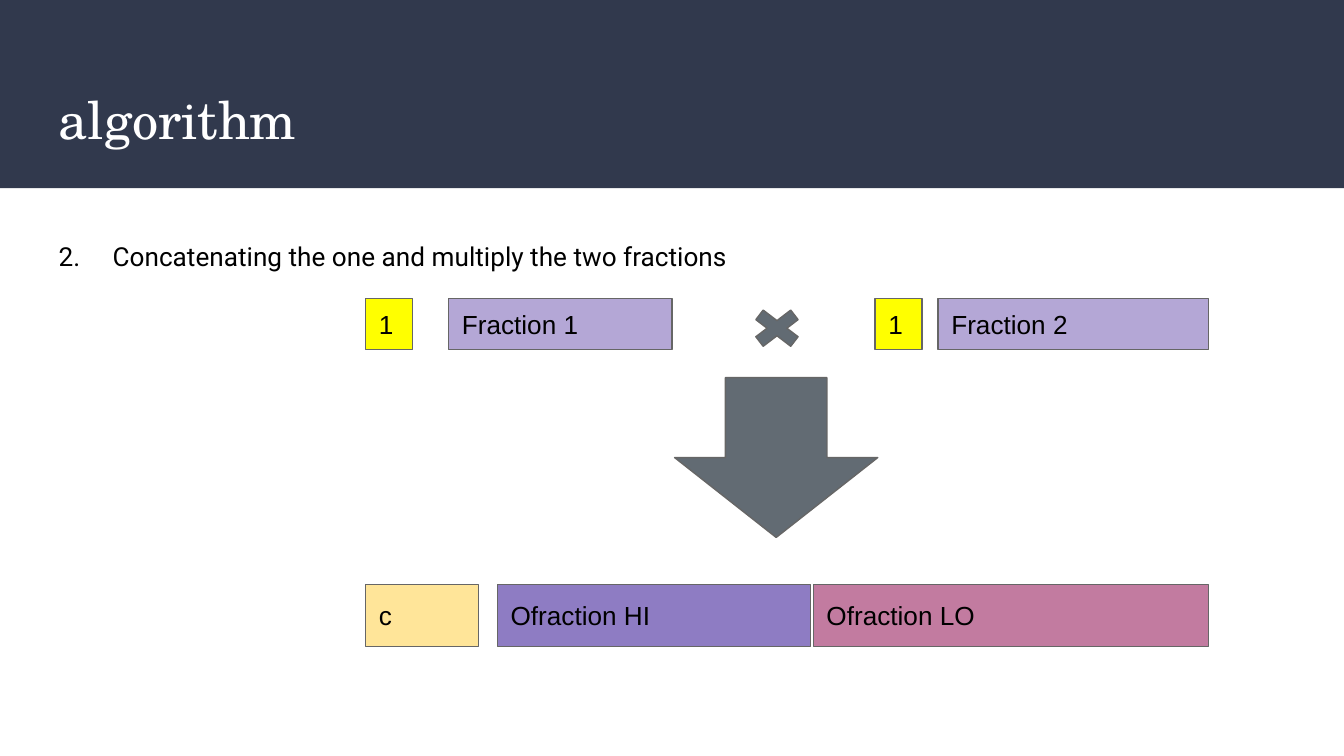
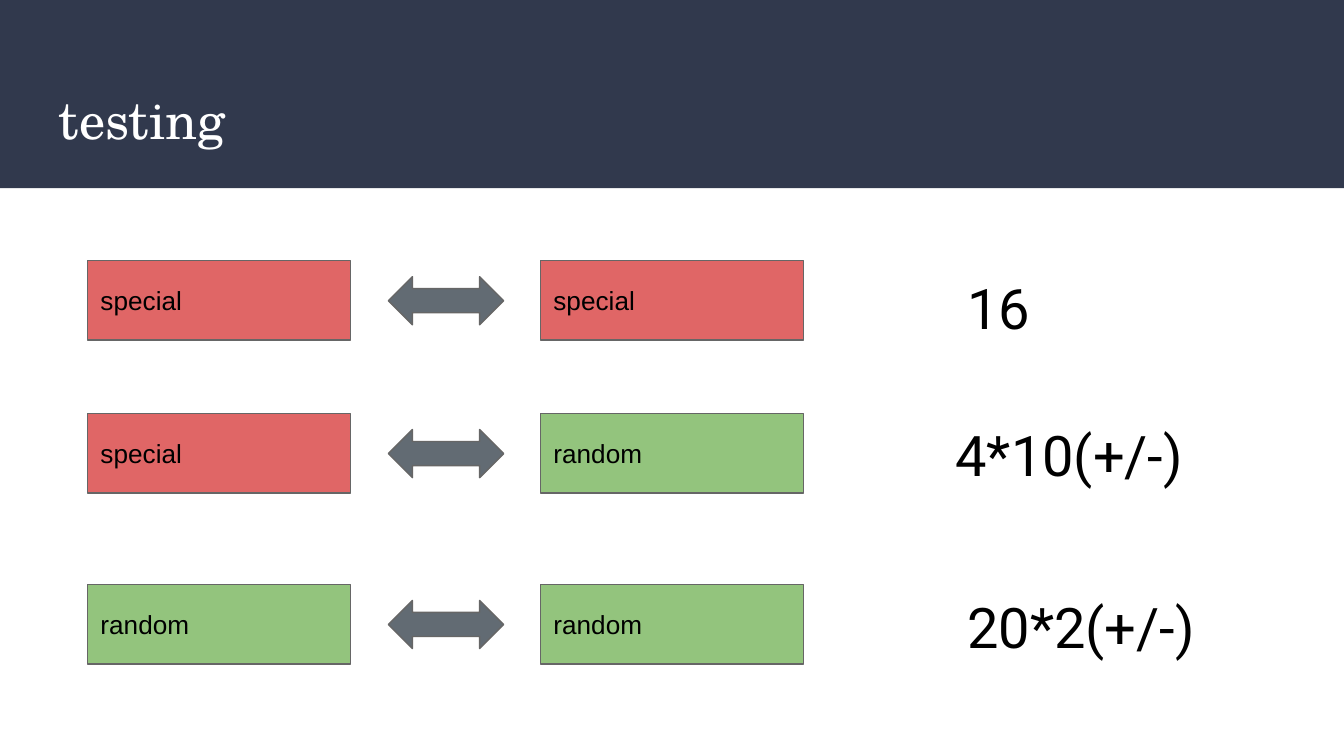
from pptx import Presentation
from pptx import util as u
from pptx.dml.color import RGBColor
from pptx.enum import shapes, text
from lxml import etree

hues = {
    "navy": "31394D", "white": "FFFFFF", "black": "000000",
    "edge": "666666", "slate": "626B73", "lilac": "B4A7D6",
    "yellow": "FFFF00", "violet": "8E7CC3", "rose": "C27BA0",
    "cream": "FFE599", "red": "E06666", "green": "93C47D",
}
kinds = shapes.MSO_SHAPE


def write(shape, words, size, font, hue="black", anchor=text.MSO_ANCHOR.TOP):
    frame = shape.text_frame
    frame.word_wrap = True
    frame.auto_size = text.MSO_AUTO_SIZE.NONE
    frame.vertical_anchor = anchor
    frame.margin_left = frame.margin_right = u.Cm(0.25)
    frame.margin_top = frame.margin_bottom = u.Cm(0.25)
    para = frame.paragraphs[0]
    para.alignment = text.PP_ALIGN.LEFT
    run = para.add_run()
    run.text = words
    run.font.size = u.Pt(size)
    run.font.name = font
    run.font.color.rgb = RGBColor.from_string(hues[hue])
    return para


def draw(slide, kind, box, fill, words=None):
    shape = slide.shapes.add_shape(kind, *map(u.Cm, box))
    shape.shadow.inherit = False
    shape.fill.solid()
    shape.fill.fore_color.rgb = RGBColor.from_string(hues[fill])
    shape.line.color.rgb = RGBColor.from_string(hues["edge"])
    shape.line.width = u.Pt(0.75)
    if words:
        write(shape, words, 14, "Arial", anchor=text.MSO_ANCHOR.MIDDLE)
    return shape


deck = Presentation()
deck.slide_width, deck.slide_height = u.Cm(25.4), u.Cm(14.29)
layout = deck.slide_layouts[5]

pages = []
for name in ("algorithm", "testing"):
    page = deck.slides.add_slide(layout)
    title = page.shapes.title
    title.left, title.top = u.Cm(0.86), u.Cm(1.4)
    title.width, title.height = u.Cm(23.67), u.Cm(1.73)
    write(title, name, 28, "TeX Gyre Schola", "white")
    pages.append(page)
steps, tests = pages

band = draw(steps, kinds.RECTANGLE, (0, 0, 25.4, 3.56), "navy")
band.line.fill.background()
layout.shapes.element.insert(2, band.element)

note = steps.shapes.add_textbox(*map(u.Cm, (0.86, 4.29, 13.67, 0.97)))
para = write(note, "Concatenating the one and multiply the two fractions", 14, "Roboto")
props = para._p.get_or_add_pPr()
props.set("marL", str(u.Cm(1.02)))
props.set("indent", str(-u.Cm(1.02)))
space = "http://schemas.openxmlformats.org/drawingml/2006/main"
etree.SubElement(props, "{%s}buAutoNum" % space, type="arabicPeriod", startAt="2")

rows = [
    (5.64, 0.97, [
        (6.91, 0.89, "yellow", "1"),
        (8.48, 4.22, "lilac", "Fraction 1"),
        (16.54, 0.89, "yellow", "1"),
        (17.73, 5.11, "lilac", "Fraction 2"),
    ]),
    (11.05, 1.17, [
        (6.91, 2.13, "cream", "c"),
        (9.4, 5.92, "violet", "Ofraction HI"),
        (15.37, 7.47, "rose", "Ofraction LO"),
    ]),
]
for top, high, parts in rows:
    for left, wide, fill, words in parts:
        draw(steps, kinds.RECTANGLE, (left, top, wide, high), fill, words)
draw(steps, kinds.MATH_MULTIPLY, (14.05, 5.72, 1.27, 0.97), "slate")
draw(steps, kinds.DOWN_ARROW, (12.75, 7.14, 3.84, 3.02), "slate")

tints = {"special": "red", "random": "green"}
cases = [
    (4.93, "special", "special", "16", (18.03, 4.93, 3.91, 1.73)),
    (7.82, "special", "random", "4*10(+/-)", (17.81, 7.7, 5.59, 1.73)),
    (11.05, "random", "random", "20*2(+/-)", (18.03, 10.95, 5.92, 1.73)),
]
for top, first, second, count, box in cases:
    for left, word in ((1.65, first), (10.21, second)):
        draw(tests, kinds.RECTANGLE, (left, top, 4.98, 1.5), tints[word], word)
    draw(tests, kinds.LEFT_RIGHT_ARROW, (7.34, top + 0.3, 2.18, 0.91), "slate")
    label = tests.shapes.add_textbox(*map(u.Cm, box))
    write(label, count, 30, "Roboto")

deck.save("out.pptx")
